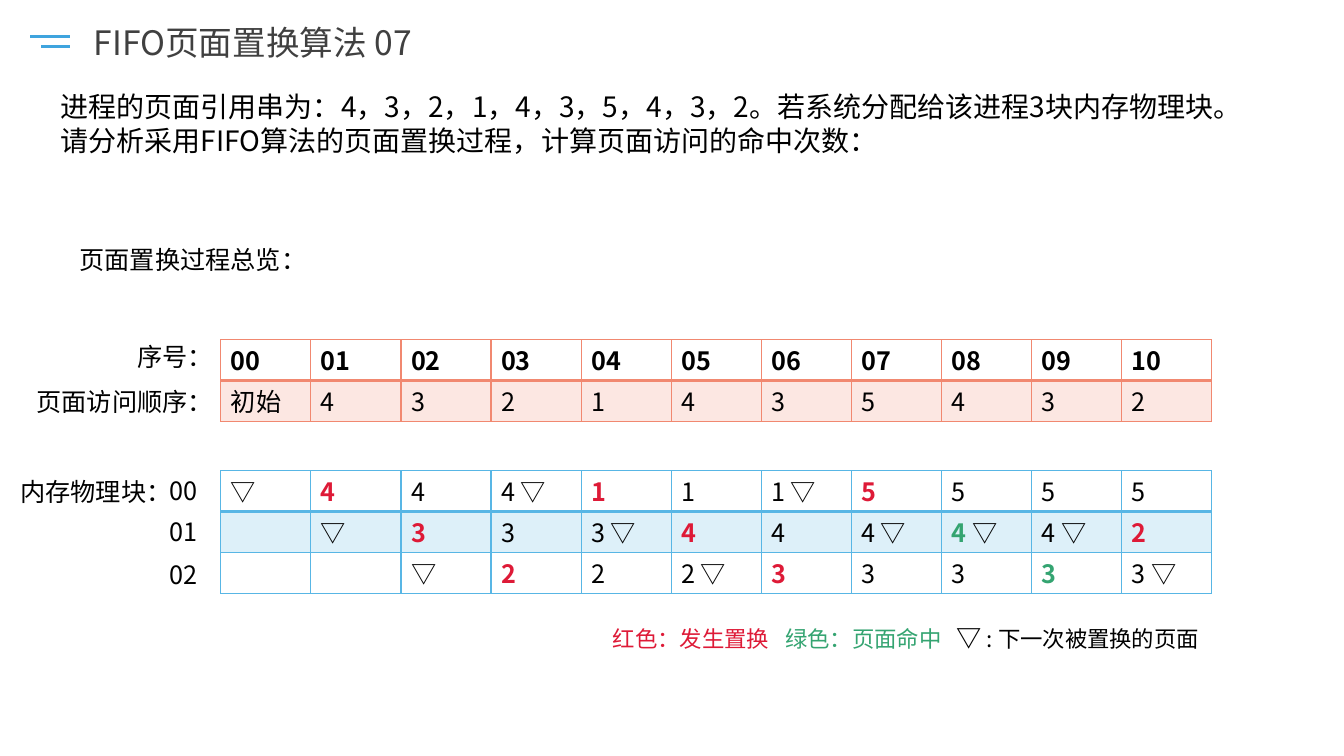
from pptx import Presentation
from pptx.dml.color import RGBColor
from pptx.enum.shapes import MSO_CONNECTOR
from pptx.enum.text import MSO_ANCHOR, MSO_AUTO_SIZE, PP_ALIGN
from pptx.oxml.ns import qn
from pptx.util import Inches, Pt
from lxml.etree import SubElement

WIDTH, HEIGHT = 13.33, 7.5
COLUMNS, ROWS = 133.3, 75
FONT = "Noto Sans CJK SC"
BLACK, GREY = "000000", "404040"
RED, GREEN = "DE1A37", "34A471"
BLUE, SKY, CORAL = "3FA4DE", "58B6E5", "F18870"
LINE_HEIGHT = 1.2
MARKER = "▽"


def color(value):
    return RGBColor.from_string(value)


def across(columns):
    return Inches(WIDTH * columns / COLUMNS)


def down(rows):
    return Inches(HEIGHT * rows / ROWS)


def write(para, text, size=18, fill=BLACK, bold=False):
    """Add one formatted span to a paragraph."""
    span = para.add_run()
    span.text = text
    span.font.size = Pt(size)
    span.font.bold = bold
    span.font.name = FONT
    span.font.color.rgb = color(fill)
    SubElement(span.font._element, qn("a:ea"), typeface=FONT)


def space(para, size=18, align=PP_ALIGN.LEFT):
    para.alignment = align
    para.line_spacing = Pt(size * LINE_HEIGHT)
    para.space_before = para.space_after = Pt(0)


class Page:
    def __init__(self, deck):
        self.slide = deck.slides.add_slide(deck.slide_layouts[1])
        self.shapes = self.slide.shapes

    def place(self, box, left, top, width, height, wrap=True):
        """Move a text holder to its grid cells and prepare its frame."""
        box.left, box.top = across(left), down(top)
        box.width, box.height = across(width), down(height)
        frame = box.text_frame
        frame.word_wrap = wrap
        frame.auto_size = MSO_AUTO_SIZE.NONE
        frame.vertical_anchor = MSO_ANCHOR.TOP
        frame.margin_left = frame.margin_right = Inches(0.1)
        frame.margin_top, frame.margin_bottom = Inches(0.06), Inches(0.04)
        return frame

    def title(self, text, *grid):
        para = self.place(self.shapes.title, *grid, wrap=False).paragraphs[0]
        space(para, 24)
        write(para, text, size=24, fill=GREY)

    def body(self, lines, *grid):
        frame = self.place(self.slide.placeholders[1], *grid)
        for index, line in enumerate(lines):
            para = frame.add_paragraph() if index else frame.paragraphs[0]
            properties = para._p.get_or_add_pPr()
            properties.set("marL", "0")
            properties.set("indent", "0")
            SubElement(properties, qn("a:buNone"))
            space(para, 20)
            write(para, line, size=20)

    def text(self, spans, *grid, align=PP_ALIGN.LEFT, tabs=()):
        box = self.shapes.add_textbox(0, 0, 0, 0)
        para = self.place(box, *grid).paragraphs[0]
        if tabs:
            stops = SubElement(para._p.get_or_add_pPr(), qn("a:tabLst"))
            for tab in tabs:
                SubElement(stops, qn("a:tab"), pos=str(across(tab)), algn="l")
        space(para, align=align)
        for text, style in spans:
            write(para, text, **style)

    def label(self, text, *grid, align=PP_ALIGN.LEFT):
        self.text([(text, {})], *grid, align=align)

    def line(self, left, right, row):
        line = self.shapes.add_connector(
            MSO_CONNECTOR.STRAIGHT, across(left), down(row), across(right), down(row))
        line.line.color.rgb = color(BLUE)
        line.line.width = Pt(2.25)
        SubElement(line._element.spPr, qn("a:effectLst"))

    def table(self, rows, top, accent):
        """Draw rows of cells, each a list of spans; the second row is tinted."""
        count, row_height = len(rows[0]), 4.05
        table = self.shapes.add_table(
            len(rows), count, across(21.9), down(top),
            across(98.3), down(row_height * len(rows))).table
        table.first_row = table.horz_banding = False
        for column in table.columns:
            column.width = across(98.3 / count)
        for index, row in enumerate(rows):
            table.rows[index].height = down(row_height)
            for column, spans in enumerate(row):
                cell = table.cell(index, column)
                cell.margin_top, cell.margin_bottom = Inches(0.08), Inches(0.02)
                space(cell.text_frame.paragraphs[0])
                for text, style in spans:
                    write(cell.text_frame.paragraphs[0], text, **style)
                self.finish_cell(cell, accent, index)

    def finish_cell(self, cell, accent, row):
        properties = cell._tc.get_or_add_tcPr()
        for side in "LRTB":
            width = 2 if side == "B" and row == 0 else 1
            edge = SubElement(properties, qn("a:ln" + side), w=str(Pt(width)))
            fill = SubElement(edge, qn("a:solidFill"))
            SubElement(fill, qn("a:srgbClr"), val=accent)
        if row == 1:
            cell.fill.solid()
            cell.fill.fore_color.rgb = color(accent)
            tint = properties.find(qn("a:solidFill")).find(qn("a:srgbClr"))
            SubElement(tint, qn("a:alpha"), val="20000")
        else:
            cell.fill.background()


# Block contents: ! page replaced, + page hit, - empty
BLOCKS = [
    "▽ !4 4 4▽ !1 1 1▽ !5 5 5 5",
    "- ▽ !3 3 3▽ !4 4 4▽ +4▽ 4▽ !2",
    "- - ▽ !2 2 2▽ !3 3 3 +3 3▽",
]
STATES = {"!": RED, "+": GREEN}


def block_spans(code):
    state = STATES.get(code[0])
    number = code.strip("!+-" + MARKER)
    marked = MARKER in code
    spans = []
    if number:
        spans.append((number + " " * marked,
                      {"fill": state or BLACK, "bold": state is not None}))
    if marked:
        spans.append((MARKER, {}))
    return spans


def main():
    deck = Presentation()
    deck.slide_width, deck.slide_height = Inches(WIDTH), Inches(HEIGHT)
    page = Page(deck)

    # Heading
    page.line(4.1, 6.9, 4.6)
    page.line(3, 6.9, 3.6)
    page.title("FIFO页面置换算法 07", 8.3, 1.6, 35.7, 5)

    # Question
    page.body(["进程的页面引用串为：4，3，2，1，4，3，5，4，3，2。若系统分配给该进程3块内存物理块。",
               "请分析采用FIFO算法的页面置换过程，计算页面访问的命中次数："],
              5, 8.3, 124.3, 11)
    page.label("页面置换过程总览：", 6.9, 23.6, 66.7, 4)

    # Access order
    numbers = [[(f"{step:02}", {"bold": True})] for step in range(11)]
    order = [[(entry, {})] for entry in "初始 4 3 2 1 4 3 5 4 3 2".split()]
    page.table([numbers, order], 33.7, CORAL)
    page.label("序号：", 0, 33.3, 22.1, 4, align=PP_ALIGN.RIGHT)
    page.label("页面访问顺序：", 0, 37.7, 22.1, 4, align=PP_ALIGN.RIGHT)

    # Memory blocks
    page.table([[block_spans(code) for code in row.split()] for row in BLOCKS],
               46.7, SKY)
    page.label("内存物理块：", 0.7, 46.7, 17.3, 4, align=PP_ALIGN.RIGHT)
    for index, top in enumerate((46.6, 50.6, 54.9)):
        page.label(f"{index:02}", 15.8, top, 8.1, 4)

    # Legend
    page.text([("红色：发生置换\t", {"size": 16, "fill": RED}),
               ("绿色：页面命中\t", {"size": 16, "fill": GREEN}),
               (MARKER, {"bold": True}),
               (" : 下一次被置换的页面", {"size": 16})],
              59.8, 61.1, 61.7, 4, tabs=(17.1, 34.1))

    deck.save("out.pptx")


if __name__ == "__main__":
    main()
